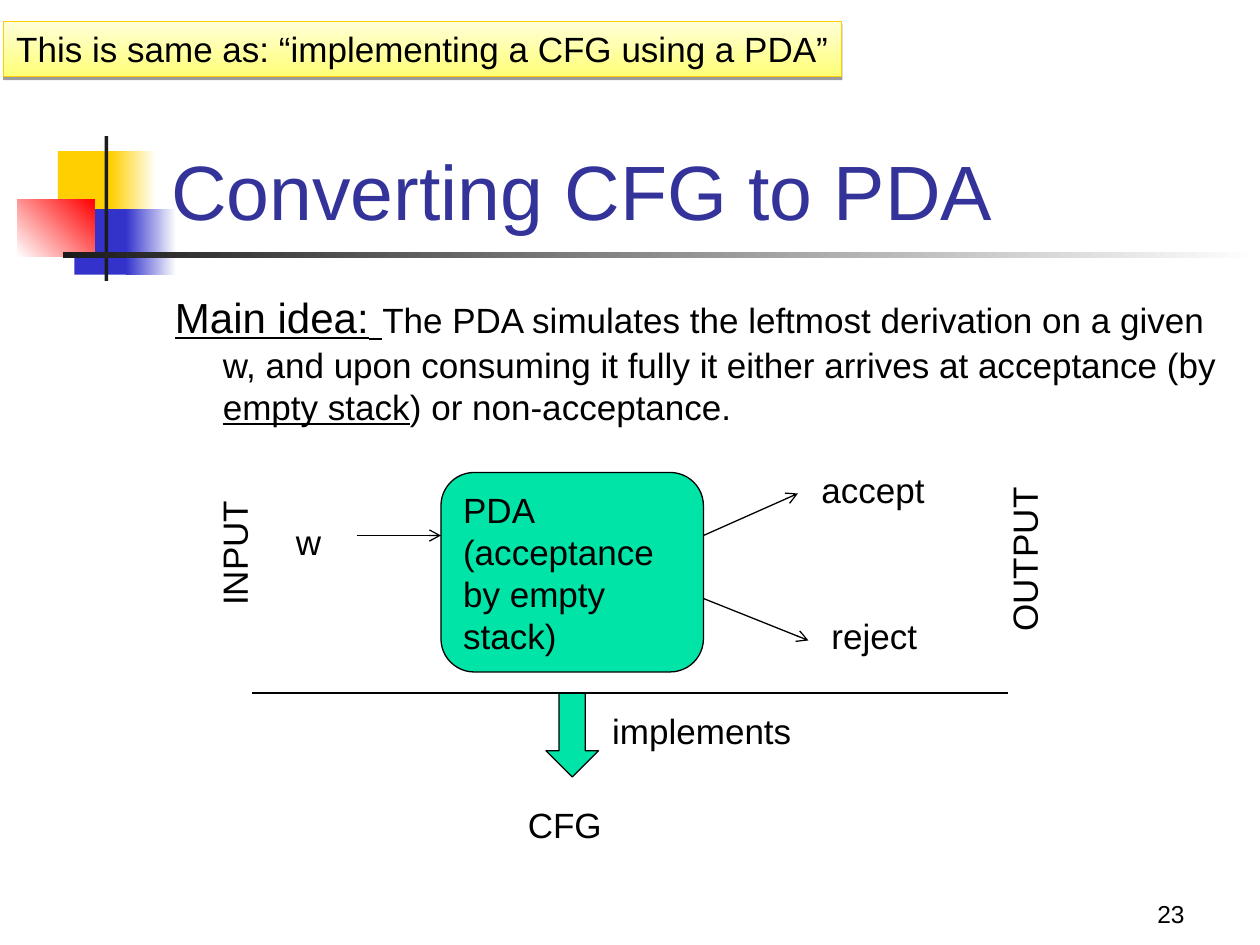
from lxml.etree import SubElement
from pptx import Presentation
from pptx.dml.color import RGBColor
from pptx.enum.shapes import MSO_CONNECTOR, MSO_SHAPE as Preset
from pptx.enum.text import MSO_ANCHOR as Anchor, MSO_AUTO_SIZE as Fit, PP_ALIGN as Align
from pptx.oxml.ns import qn
from pptx.util import Inches, Pt

# ---- Content ----
TITLE = "Converting CFG to PDA"
BANNER = "This is same as: “implementing a CFG using a PDA”"
PAGE = "23"
# (text, theme size, underlined)
MAIN_IDEA = [
    ("Main idea:", "lead", True),
    (" ", "gap", True),
    ("The PDA simulates the leftmost derivation on a given w, and upon "
     "consuming it fully it either arrives at acceptance (by ", "text", False),
    ("empty stack", "text", True),
    (") or non-acceptance.", "text", False),
]
MACHINE = "PDA\n(acceptance by empty stack)"

THEME = {
    "font": "Arial", "title": 44, "gap": 28, "lead": 24, "text": 20, "page": 14,
    "ink": "000000", "heading": "333399", "machine": "00E4A8",
    "gold": "FFCF01", "blue": "3333CC", "red": "FF0000", "rule": "1C1C1C",
    "paper": "FFFFFF", "banner low": "FFFF78", "banner high": "FFFFD7",
    "banner edge": "FFCE00", "line": 0.75,
}

# ---- Placement: the diagram sits on a grid of 12 cells to the inch ----
CELLS = 12
LABEL_HEIGHT = 0.44
# (text, left, top, width) in inches
LABELS = [
    ("CFG", 4.09, 6.33, 0.79),
    ("w", 2.25, 4.08, 0.4),
    ("accept", 6.42, 3.67, 1.02),
    ("reject", 6.5, 4.83, 0.88),
    ("implements", 4.76, 5.58, 1.62),
]
# Labels that read upwards, with room to stay on one line
SIDE_LABELS = [
    ("INPUT", 1.26, 4.17, 1.2),
    ("OUTPUT", 7.38, 4.22, 1.5),
]
# (from column, from row, to column, to row, arrowhead) in cells
LINES = [
    (34, 51, 42, 51, True),
    (67, 51, 76, 47, True),
    (67, 57, 77, 61, True),
    (24, 66, 96, 66, False),
]
# (left, top, width, height, colours, gradient angle) in inches
ORNAMENT = [
    (0.46, 1.2, 0.48, 0.52, ["gold"], 0),
    (0.88, 1.2, 0.36, 0.52, ["gold", "paper"], 0),
    (0.59, 1.66, 0.46, 0.52, ["blue"], 0),
    (1, 1.66, 0.4, 0.52, ["blue", "paper"], 0),
    (0.14, 1.58, 0.61, 0.46, ["paper", "red"], 45),
    (0.83, 1.08, 0.03, 1.15, ["rule"], 0),
    (0.5, 2, 9.5, 0.05, ["rule", "paper"], 0),
]

deck = Presentation()
deck.slide_width, deck.slide_height = Inches(10), Inches(7.5)
slide = deck.slides.add_slide(deck.slide_layouts[6])


def color(name):
    return RGBColor.from_string(THEME[name])


def cells(*counts):
    return [count / CELLS for count in counts]


def add_box(preset, place, fills, angle=0, edge=None):
    box = slide.shapes.add_shape(preset, *map(Inches, place))
    box.shadow.inherit = False
    if len(fills) == 1:
        box.fill.solid()
        box.fill.fore_color.rgb = color(fills[0])
    else:
        box.fill.gradient()
        box.fill.gradient_angle = angle
        for stop, name in zip(box.fill.gradient_stops, fills):
            stop.color.rgb = color(name)
    if edge:
        box.line.color.rgb = color(edge)
        box.line.width = Pt(THEME["line"])
    else:
        box.line.fill.background()
    return box


def write(text, box=None, place=None, size="text", ink="ink", align=Align.LEFT,
          anchor=Anchor.TOP, wrap=True, rotation=0, hanging=0):
    """Put a string, or a list of (text, size, underlined), in a box or a new text box."""
    if box is None:
        box = slide.shapes.add_textbox(*map(Inches, place))
    box.rotation = rotation
    frame = box.text_frame
    frame.word_wrap = wrap
    frame.auto_size = Fit.NONE if wrap else Fit.SHAPE_TO_FIT_TEXT
    frame.vertical_anchor = anchor
    paragraph = frame.paragraphs[0]
    paragraph.alignment = align
    if hanging:
        indent = paragraph._p.get_or_add_pPr()
        indent.set("marL", str(Inches(hanging)))
        indent.set("indent", str(-Inches(hanging)))
    pieces = [(text, size, False)] if isinstance(text, str) else text
    for words, run_size, underlined in pieces:
        for number, line in enumerate(words.split("\n")):
            if number:
                paragraph.add_line_break()
            run = paragraph.add_run()
            run.text = line
            run.font.name = THEME["font"]
            run.font.size = Pt(THEME[run_size])
            run.font.color.rgb = color(ink)
            run.font.underline = underlined


def add_line(start_x, start_y, end_x, end_y, arrow):
    ends = map(Inches, cells(start_x, start_y, end_x, end_y))
    line = slide.shapes.add_connector(MSO_CONNECTOR.STRAIGHT, *ends)
    line.line.color.rgb = color("ink")
    line.line.width = Pt(THEME["line"])
    if arrow:
        SubElement(line.line._get_or_add_ln(), qn("a:tailEnd"), type="arrow")
    SubElement(line._element.spPr, qn("a:effectLst"))


def drop_shadow(box, distance, opacity):
    effects = box._element.spPr.find(qn("a:effectLst"))
    shadow = SubElement(effects, qn("a:outerShdw"), blurRad="0", dist=str(Pt(distance)),
                        dir="5400000", rotWithShape="0")
    tint = SubElement(shadow, qn("a:srgbClr"), val=THEME["ink"])
    SubElement(tint, qn("a:alpha"), val=str(opacity * 1000))


# Corner ornament and title rule
for *place, fills, angle in ORNAMENT:
    add_box(Preset.RECTANGLE, place, fills, angle)

# Page number, title and main idea
write(PAGE, place=(7.42, 6.92, 2.08, 0.5), size="page", align=Align.RIGHT, anchor=Anchor.BOTTOM)
write(TITLE, place=(1.26, 0.67, 8.52, 1.25), size="title", ink="heading", anchor=Anchor.BOTTOM)
write(MAIN_IDEA, place=(1.29, 2.21, 8.5, 1.38), hanging=0.38)

# Banner
banner = add_box(Preset.RECTANGLE, (0.03, 0.17, 6.65, LABEL_HEIGHT),
                 ["banner low", "banner high"], angle=90, edge="banner edge")
drop_shadow(banner, distance=1.6, opacity=38)
write(BANNER, box=banner, wrap=False)

# Diagram
machine = add_box(Preset.ROUNDED_RECTANGLE, cells(42, 45, 25, 19), ["machine"], edge="ink")
write(MACHINE, box=machine)
add_box(Preset.DOWN_ARROW, cells(52, 66, 5, 8), ["machine"], edge="ink")
for line in LINES:
    add_line(*line)
for label, left, top, width in LABELS:
    write(label, place=(left, top, width, LABEL_HEIGHT), wrap=False)
for label, left, top, width in SIDE_LABELS:
    write(label, place=(left, top, width, LABEL_HEIGHT), align=Align.CENTER, rotation=270)

deck.save("out.pptx")
